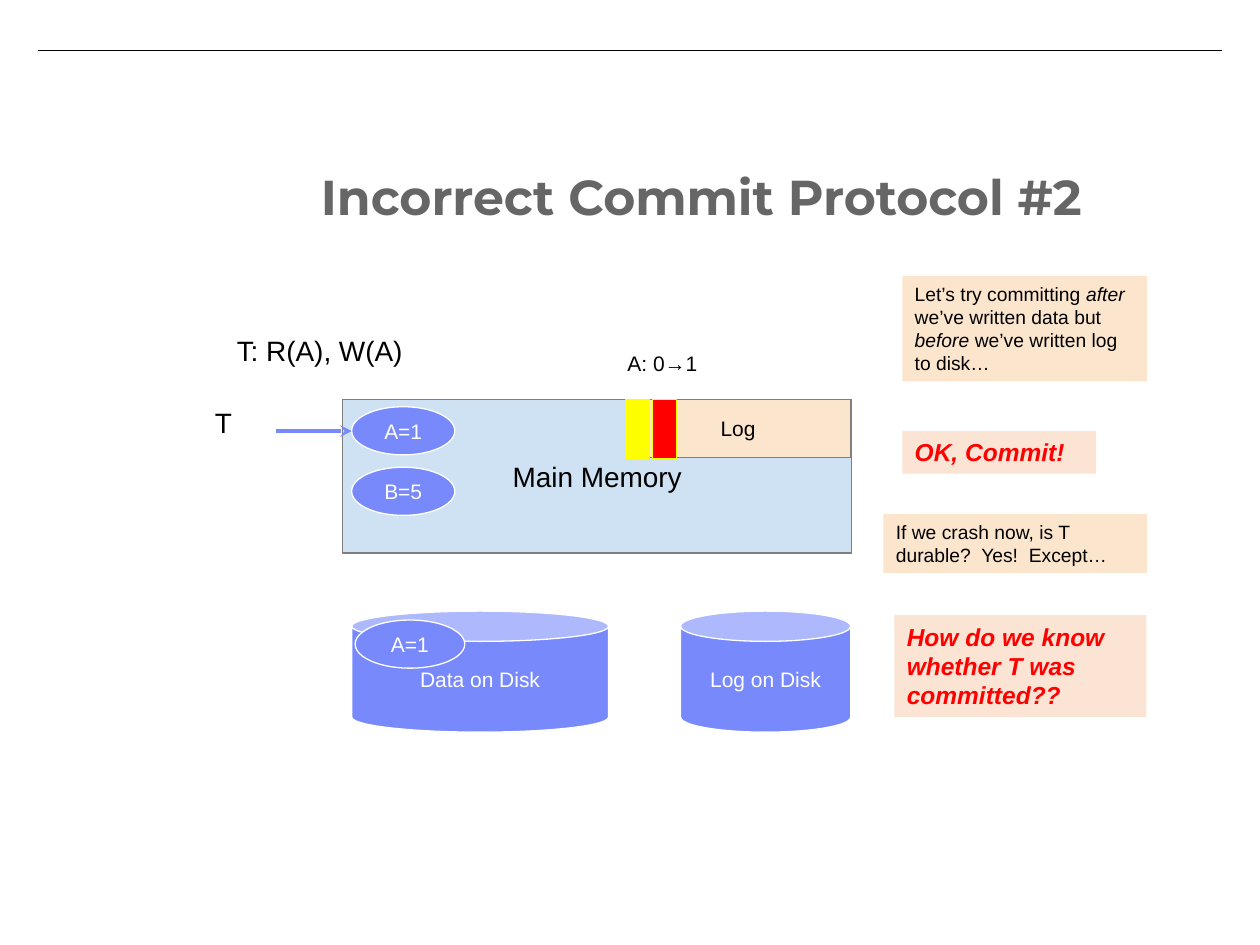
from pptx import Presentation
from pptx.dml.color import RGBColor
from pptx.enum.shapes import MSO_CONNECTOR, MSO_SHAPE
from pptx.enum.text import MSO_ANCHOR, PP_ALIGN
from pptx.oxml.ns import qn
from pptx.util import Cm, Pt
from lxml import etree

RECT, OVAL, CAN = MSO_SHAPE.RECTANGLE, MSO_SHAPE.OVAL, MSO_SHAPE.CAN
LEFT, MID = PP_ALIGN.LEFT, PP_ALIGN.CENTER
TOP, CORE = MSO_ANCHOR.TOP, MSO_ANCHOR.MIDDLE
LINE = MSO_CONNECTOR.STRAIGHT

THEME = {
    "blue": "7889FB", "sky": "CFE2F3", "peach": "FCE5CD", "rose": "FBE4D4",
    "yellow": "FFFF00", "red": "FF0000", "white": "FFFFFF", "black": "000000",
    "edge": "7F7F7F", "gray": "666666",
    "title": 28, "large": 16, "loud": 14, "base": 12, "note": 11,
    "thin": 0.75, "thick": 2.25,
}

LOOKS = {
    "title": dict(size="title", ink="gray", font="Montserrat", bold=True, pad=0.25),
    "label": dict(size="large", ink="black", align=MID),
    "entry": dict(size="base", ink="black"),
    "store": dict(fill="blue", edge="white", size="base", ink="white", align=MID, anchor=CORE),
    "memory": dict(fill="sky", edge="edge", size="large", ink="black", align=MID, anchor=CORE),
    "log": dict(fill="peach", edge="edge", size="base", ink="black", align=MID, anchor=CORE),
    "old": dict(fill="yellow", edge="yellow"),
    "new": dict(fill="red", edge="yellow"),
    "note": dict(fill="peach", size="note", ink="black"),
    "loud": dict(fill="rose", size="loud", ink="red", bold=True, italic=True),
}

ITEMS = [
    (None, "title", 6.22, 3.1, 18.57, 3.23, "Incorrect Commit Protocol #2"),
    (CAN, "store", 7.09, 12.32, 5.18, 2.44, "Data on Disk"),
    (RECT, "memory", 6.91, 8.05, 10.26, 3.1, "Main Memory"),
    (CAN, "store", 13.72, 12.32, 3.43, 2.44, "Log on Disk"),
    (RECT, "log", 12.62, 8.05, 4.52, 1.17, "Log"),
    (None, "label", 3.45, 8.05, 2.26, 0.94, "T "),
    (OVAL, "store", 7.09, 8.2, 2.08, 0.97, "A=1"),
    (OVAL, "store", 7.09, 9.42, 2.08, 0.97, "B=5"),
    (OVAL, "store", 7.16, 12.5, 2.21, 0.97, "A=1"),
    (None, "label", 3.45, 6.6, 6.15, 0.94, "T: R(A), W(A) "),
    (None, "entry", 12.4, 6.93, 2.84, 0.76, "A: 0→1"),
    (RECT, "old", 12.62, 8.05, 0.48, 1.19, ""),
    (RECT, "new", 13.16, 8.05, 0.48, 1.19, ""),
    (RECT, "note", 18.19, 5.56, 4.93, 2.13,
     "Let’s try committing *after* we’ve written data but *before* we’ve written log to disk…"),
    (RECT, "note", 17.81, 10.36, 5.31, 1.19, "If we crash now, is T durable?  Yes!  Except…"),
    (RECT, "loud", 18.19, 8.69, 3.91, 0.86, "OK, Commit!"),
    (RECT, "loud", 18.03, 12.4, 5.08, 2.06, "How do we know whether T was committed??"),
]

RULES = [
    (0.76, 24.64, 1.02, "black", "thin", None),
    (5.56, 7.09, 8.69, "blue", "thick", "stealth"),
]


def tint(name):
    return RGBColor.from_string(THEME[name])


def write(frame, text, look):
    pad = look.get("pad", 0.13)
    form = dict(word_wrap=True, vertical_anchor=look.get("anchor", TOP),
                margin_left=Cm(0.25), margin_right=Cm(0.25),
                margin_top=Cm(pad), margin_bottom=Cm(pad))
    for key, val in form.items():
        setattr(frame, key, val)
    para = frame.paragraphs[0]
    para.alignment = look.get("align", LEFT)
    for pos, part in enumerate(text.split("*")):
        run = para.add_run()
        run.text = part
        face = dict(name=look.get("font", "Arial"), size=Pt(THEME[look["size"]]),
                    bold=look.get("bold", False),
                    italic=look.get("italic", pos % 2 == 1))
        for key, val in face.items():
            setattr(run.font, key, val)
        run.font.color.rgb = tint(look["ink"])


deck = Presentation()
deck.slide_width, deck.slide_height = Cm(25.4), Cm(19.05)
slide = deck.slides.add_slide(deck.slide_layouts[6])

for kind, style, *box, text in ITEMS:
    look = LOOKS[style]
    place = [Cm(num) for num in box]
    if kind is None:
        shape = slide.shapes.add_textbox(*place)
    else:
        shape = slide.shapes.add_shape(kind, *place)
        shape.shadow.inherit = False
        shape.fill.solid()
        shape.fill.fore_color.rgb = tint(look["fill"])
        if "edge" in look:
            shape.line.color.rgb = tint(look["edge"])
            shape.line.width = Pt(THEME["thin"])
        else:
            shape.line.fill.background()
    if text:
        write(shape.text_frame, text, look)

for start, end, top, ink, width, head in RULES:
    rule = slide.shapes.add_connector(LINE, Cm(start), Cm(top), Cm(end), Cm(top))
    rule.line.color.rgb = tint(ink)
    rule.line.width = Pt(THEME[width])
    if head:
        etree.SubElement(rule.line._get_or_add_ln(), qn("a:tailEnd"), type=head)
    etree.SubElement(rule._element.spPr, qn("a:effectLst"))

deck.save("out.pptx")
